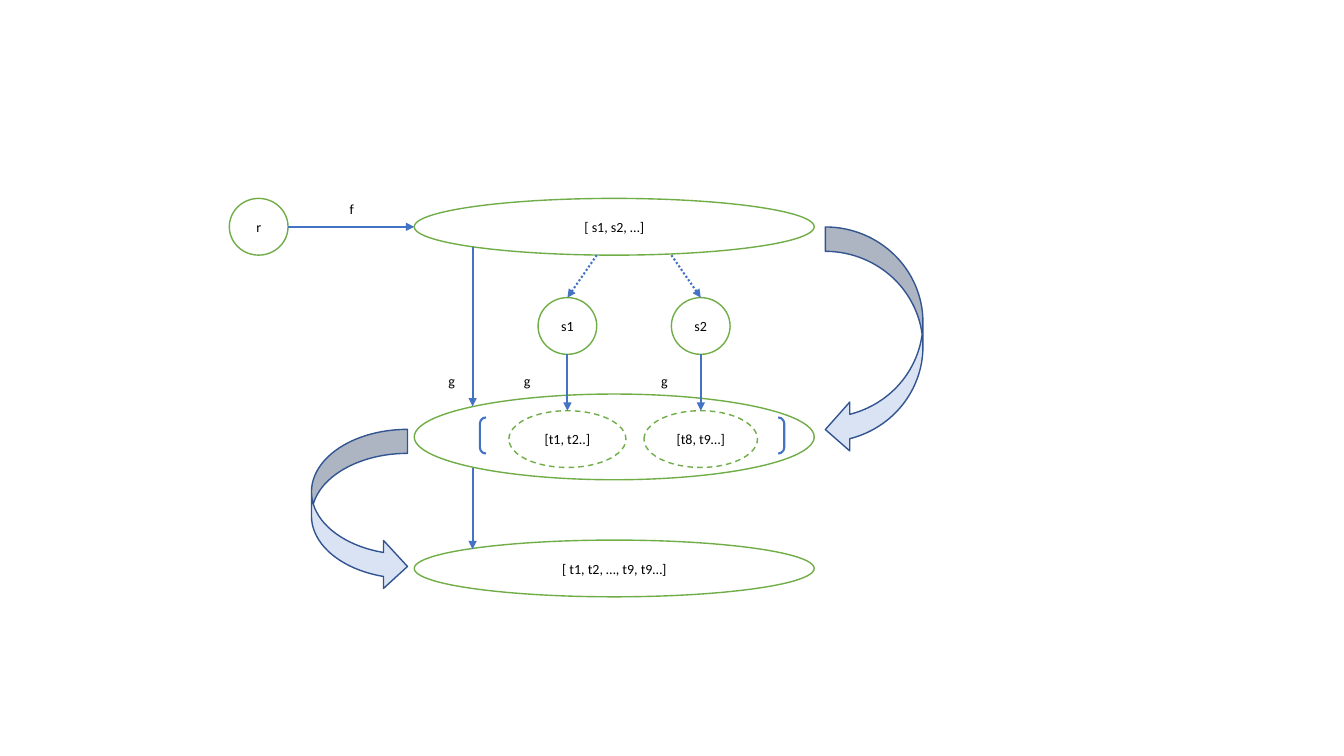
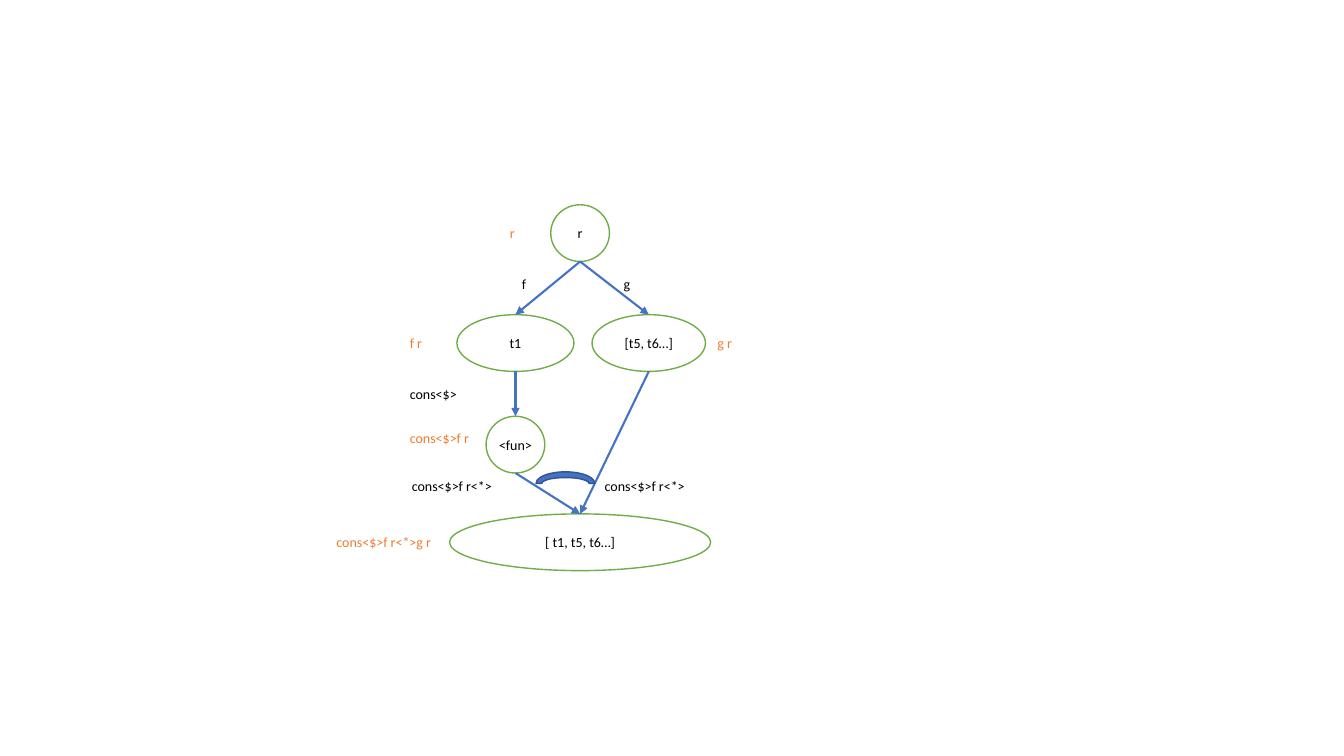
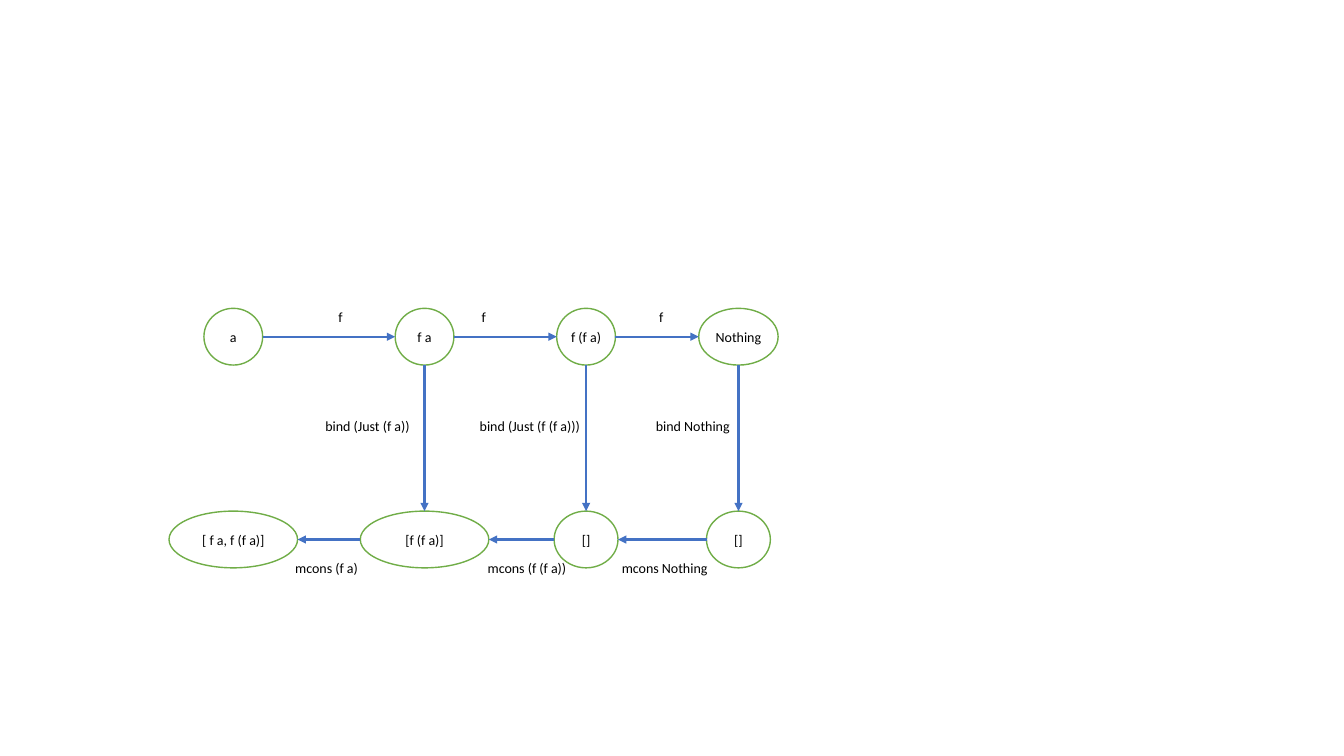
from dataclasses import dataclass
from lxml.etree import SubElement
from pptx import Presentation
from pptx.dml.color import RGBColor
from pptx.enum.dml import MSO_LINE
from pptx.enum.shapes import MSO_CONNECTOR, MSO_SHAPE
from pptx.enum.text import MSO_ANCHOR, MSO_AUTO_SIZE, PP_ALIGN
from pptx.oxml.ns import qn
from pptx.util import Cm, Pt


@dataclass(frozen=True)
class Theme:
    font: str = "Calibri"
    size: Pt = Pt(10)
    thin: Pt = Pt(1)
    thick: Pt = Pt(1.5)
    white: RGBColor = RGBColor(0xFF, 0xFF, 0xFF)
    text: RGBColor = RGBColor(0, 0, 0)
    green: RGBColor = RGBColor(0x70, 0xAD, 0x47)
    blue: RGBColor = RGBColor(0x44, 0x72, 0xC4)
    navy: RGBColor = RGBColor(0x32, 0x54, 0x91)
    pale: RGBColor = RGBColor(0xDA, 0xE3, 0xF3)
    orange: RGBColor = RGBColor(0xED, 0x7D, 0x31)


T = Theme()
D, H = 1.48, 1.43  # circle width and common node height, cm
TOP, LEFT, BOTTOM, RIGHT = range(4)


def node(s, cx, y, w, text="", h=H, kind=MSO_SHAPE.OVAL, fill=T.white,
         line=T.green, width=T.thin, dash=None):
    """Preset shape centred on cx, with centred text."""
    sp = s.shapes.add_shape(kind, Cm(cx - w / 2), Cm(y), Cm(w), Cm(h))
    sp.shadow.inherit = False
    if fill is None:
        sp.fill.background()
    else:
        sp.fill.solid()
        sp.fill.fore_color.rgb = fill
    sp.line.color.rgb = line
    sp.line.width = width
    if dash:
        sp.line.dash_style = dash
    if text:
        tf = sp.text_frame
        tf.word_wrap = True
        tf.vertical_anchor = MSO_ANCHOR.MIDDLE
        tf.margin_left = tf.margin_right = Cm(0.1)
        p = tf.paragraphs[0]
        p.alignment = PP_ALIGN.CENTER
        r = p.add_run()
        r.text = text
        r.font.name, r.font.size, r.font.color.rgb = T.font, T.size, T.text
    return sp


def arrow(s, start, end, dash=None):
    """Arrow between ends given as (x, y) in cm or as (oval, side)."""
    c = s.shapes.add_connector(MSO_CONNECTOR.STRAIGHT, 0, 0, 0, 0)
    if isinstance(start[0], (int, float)):
        c.begin_x, c.begin_y = map(Cm, start)
    else:
        c.begin_connect(*start)
    if isinstance(end[0], (int, float)):
        c.end_x, c.end_y = map(Cm, end)
    else:
        c.end_connect(*end)
    # An oval has eight sites, so each side is every second one
    for site in c._element.xpath(".//a:stCxn | .//a:endCxn"):
        site.set("idx", str(2 * int(site.get("idx"))))
    c.line.color.rgb = T.blue
    c.line.width = T.thick
    if dash:
        c.line.dash_style = dash
    SubElement(c.line._get_or_add_ln(), qn("a:tailEnd"), type="triangle")
    SubElement(c._element.spPr, qn("a:effectLst"))


prs = Presentation()
prs.slide_width, prs.slide_height = Cm(33.87), Cm(19.05)
bind, cons, unfold = [prs.slides.add_slide(prs.slide_layouts[6]) for _ in range(3)]

# Slide 1: list bind
s = bind
mid, wide = 15.48, 10.08
node(s, mid, 9.93, wide, h=2.16)
r_node = node(s, 6.52, 5, D, "r")
s_list = node(s, mid, 5, wide, "[ s1, s2, …]")
node(s, mid, 13.61, wide, "[ t1, t2, …, t9, t9…]")
arrow(s, (r_node, RIGHT), (s_list, LEFT))
node(s, 15.93, 10.52, 7.67, h=0.91, kind=MSO_SHAPE.DOUBLE_BRACKET,
     fill=None, line=T.blue, width=T.thick)
for cx, from_x, item, w, result in [(14.3, 15.04, "s1", 2.95, "[t1, t2..]"),
                                    (17.66, 16.92, "s2", 2.86, "[t8, t9…]")]:
    item_node = node(s, cx, 7.5, D, item)
    result_node = node(s, cx, 10.35, w, result, dash=MSO_LINE.DASH)
    arrow(s, (from_x, 6.43), (item_node, TOP), dash=MSO_LINE.ROUND_DOT)
    arrow(s, (item_node, BOTTOM), (result_node, TOP))
for y1, y2 in [(6.22, 10.24), (11.79, 13.84)]:
    arrow(s, (11.91, y1), (11.91, y2))
for kind, cx, y, w, h in [(MSO_SHAPE.CURVED_LEFT_ARROW, 22.03, 5.72, 2.46, 5.72),
                          (MSO_SHAPE.CURVED_RIGHT_ARROW, 9.06, 10.82, 2.42, 4.06)]:
    node(s, cx, y, w, h=h, kind=kind, fill=T.pale, line=T.navy)

# Slide 2: applicative cons
s = cons
mid, left, right = 14.62, 12.99, 16.35
root = node(s, mid, 5.16, D, "r")
head = node(s, left, 7.93, 2.95, "t1")
rest = node(s, right, 7.93, 2.86, "[t5, t6…]")
fun = node(s, left, 10.49, D, "<fun>")
joined = node(s, mid, 12.95, 6.58, "[ t1, t5, t6…]")
for upper, lower in [(root, head), (root, rest), (head, fun),
                     (rest, joined), (fun, joined)]:
    arrow(s, (upper, BOTTOM), (lower, TOP))
node(s, 14.25, 11.89, D, h=0.58, kind=MSO_SHAPE.BLOCK_ARC, fill=T.blue, line=T.navy)

# Slide 3: unfold, one column per step
s = unfold
steps = []
for cx, w, value, w_list, acc in [(5.88, D, "a", 3.24, "[ f a, f (f a)]"),
                                  (10.7, D, "f a", 3.24, "[f (f a)]"),
                                  (14.77, D, "f (f a)", 1.61, "[]"),
                                  (18.61, 2, "Nothing", 1.61, "[]")]:
    steps.append((node(s, cx, 7.77, w, value), node(s, cx, 12.88, w_list, acc)))
for (value, acc), (next_value, next_acc) in zip(steps, steps[1:]):
    arrow(s, (value, RIGHT), (next_value, LEFT))
    arrow(s, (next_value, BOTTOM), (next_acc, TOP))
    arrow(s, (next_acc, LEFT), (acc, RIGHT))

# Labels: slide, colour, then left, top, width and text
labels = [
    (bind, T.text, [(8.56, 4.93, 0.61, "f"), (11.05, 9.25, 0.69, "g"),
                    (12.95, 9.25, 0.69, "g"), (16.41, 9.25, 0.69, "g")]),
    (cons, T.text, [(12.9, 6.81, 0.61, "f"), (15.47, 6.81, 0.69, "g"),
                    (10.08, 9.58, 1.73, "cons<$>"),
                    (10.13, 11.91, 2.57, "cons<$>f r<*>"),
                    (14.99, 11.91, 2.57, "cons<$>f r<*>")]),
    (cons, T.orange, [(12.6, 5.54, 0.64, "r"), (10.08, 8.31, 0.81, "f r"),
                      (17.83, 8.31, 0.89, "g r"), (10.08, 10.69, 2.03, "cons<$>f r"),
                      (8.23, 13.31, 2.95, "cons<$>f r<*>g r")]),
    (unfold, T.text, [(8.28, 7.65, 0.61, "f"), (11.89, 7.65, 0.61, "f"),
                      (16.36, 7.65, 0.61, "f"),
                      (7.95, 10.39, 2.67, "bind (Just (f a))"),
                      (11.84, 10.39, 3.05, "bind (Just (f (f a)))"),
                      (16.28, 10.39, 2.39, "bind Nothing"),
                      (7.19, 13.97, 2.11, "mcons (f a)"),
                      (12.04, 13.97, 2.51, "mcons (f (f a))"),
                      (15.42, 13.97, 2.69, "mcons Nothing")]),
]
for s, color, items in labels:
    for x, y, w, text in items:
        tf = s.shapes.add_textbox(Cm(x), Cm(y), Cm(w), Cm(0.68)).text_frame
        tf.word_wrap = False
        tf.auto_size = MSO_AUTO_SIZE.SHAPE_TO_FIT_TEXT
        r = tf.paragraphs[0].add_run()
        r.text = text
        r.font.name, r.font.size, r.font.color.rgb = T.font, T.size, color

prs.save("out.pptx")
